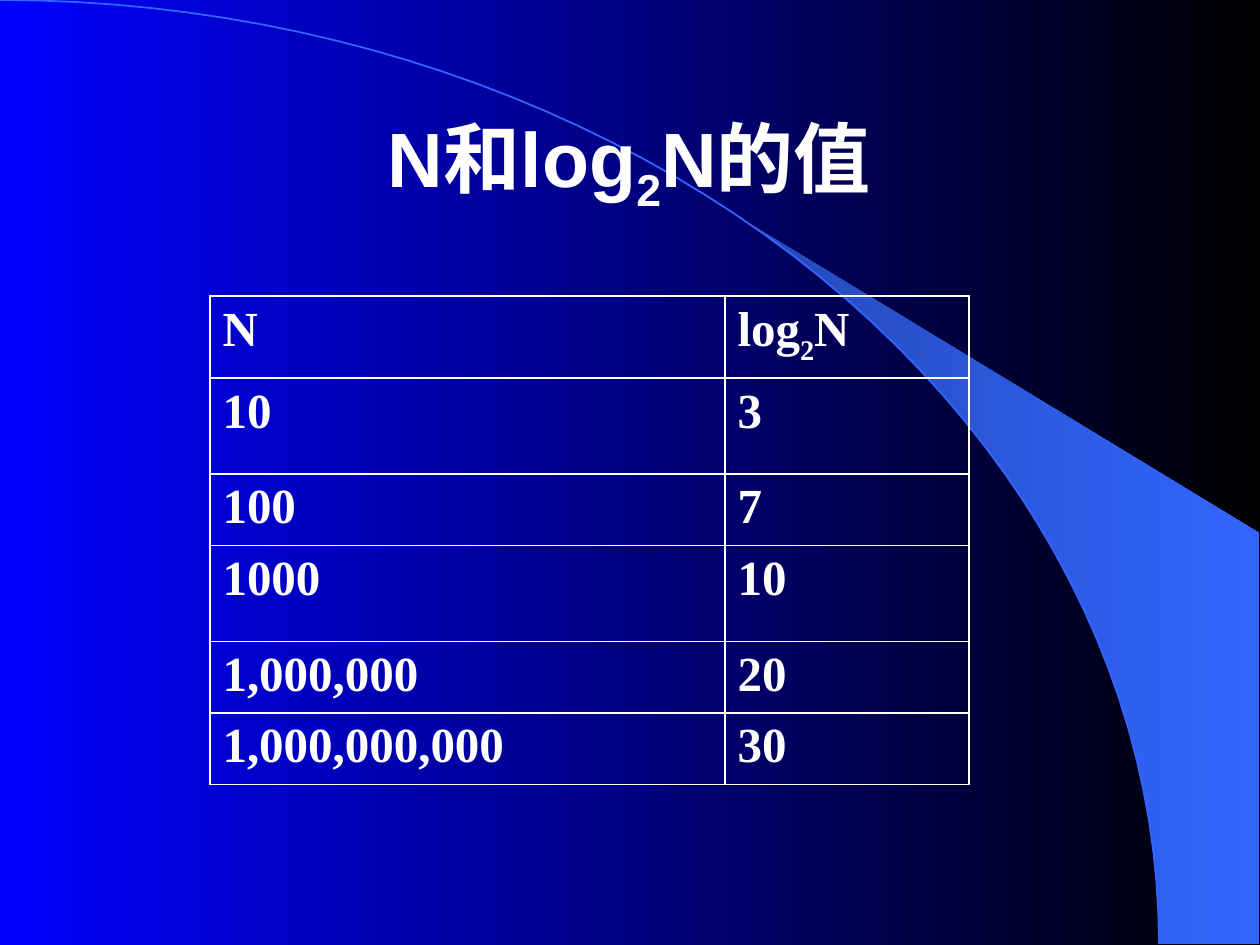
from math import asin, cos, pi, sin

from lxml import etree
from pptx import Presentation
from pptx.dml.color import RGBColor
from pptx.enum.text import MSO_ANCHOR, PP_ALIGN
from pptx.oxml.ns import qn
from pptx.util import Pt

MIDDLE = MSO_ANCHOR.MIDDLE
CENTER = PP_ALIGN.CENTER
SCALE = 914400 // 126
WHITE, BLUE = "FFFFFF", "3366FF"
ARC_W, ARC_H = 1159, 944
COLS = [515, 244]
ROWS = [59, 96, 59, 96, 59, 59]
VALUES = [("10", "3"), ("100", "7"), ("1000", "10"),
          ("1,000,000", "20"), ("1,000,000,000", "30")]


def px(n):
    return round(n * SCALE)


def rgb(code):
    return RGBColor.from_string(code)


def shade(fill, start, end):
    """Fill with a gradient that runs from left to right."""
    fill.gradient()
    fill.gradient_angle = 0
    for stop, code, pos in zip(fill.gradient_stops, (start, end), (0, 1)):
        stop.color.rgb = rgb(code)
        stop.position = pos


def arc(start=0, steps=48):
    """Points of the quarter ellipse from angle start to its lower end."""
    turns = [start + (pi / 2 - start) * i / steps for i in range(steps + 1)]
    return [(ARC_W * sin(t), ARC_H * (1 - cos(t))) for t in turns]


def outline(slide, points, close):
    spots = [(px(x), px(y)) for x, y in points]
    pen = slide.shapes.build_freeform(*spots[0])
    pen.add_line_segments(spots[1:], close=close)
    shape = pen.convert_to_shape()
    shape.shadow.inherit = False
    return shape


def add_wing(slide):
    edge = arc(asin(742 / ARC_W), 24)
    wing = outline(slide, edge + [(1259, 944), (1259, 533)], True)
    shade(wing.fill, "2449B6", BLUE)
    wing.line.fill.background()


def add_curve(slide):
    curve = outline(slide, arc(), False)
    curve.fill.background()
    curve.line.color.rgb = rgb(BLUE)
    curve.line.width = Pt(1)


def add_runs(para, parts, size, face, drop):
    """Write (text, is_subscript) parts, lowering subscripts by drop."""
    for text, low in parts:
        run = para.add_run()
        run.text = text
        font = run.font
        font.size, font.name, font.bold = Pt(size), face, True
        font.color.rgb = rgb(WHITE)
        if low:
            run._r.get_or_add_rPr().set("baseline", str(-drop * 1000))


def add_title(slide):
    box = slide.shapes.add_textbox(px(94), px(84), px(1071), px(158))
    frame = box.text_frame
    frame.word_wrap = True
    frame.vertical_anchor = MIDDLE
    para = frame.paragraphs[0]
    para.alignment = CENTER
    parts = [("N和log", False), ("2", True), ("N的值", False)]
    add_runs(para, parts, 44, "Arial", 25)


def add_border(cell):
    props = cell._tc.get_or_add_tcPr()
    for i, side in enumerate(("a:lnL", "a:lnR", "a:lnT", "a:lnB")):
        line = etree.Element(qn(side), w=str(Pt(1)))
        fill = etree.SubElement(line, qn("a:solidFill"))
        etree.SubElement(fill, qn("a:srgbClr"), val=WHITE)
        props.insert(i, line)


def add_grid(slide):
    frame = slide.shapes.add_table(len(ROWS), len(COLS), px(210), px(296),
                                   px(sum(COLS)), px(sum(ROWS)))
    table = frame.table
    table.first_row = table.horz_banding = False
    for col, width in zip(table.columns, COLS):
        col.width = px(width)
    for row, height in zip(table.rows, ROWS):
        row.height = px(height)
    head = [[("N", False)], [("log", False), ("2", True), ("N", False)]]
    body = [[[(text, False)] for text in pair] for pair in VALUES]
    for row, line in zip(table.rows, [head] + body):
        for cell, parts in zip(row.cells, line):
            cell.fill.background()
            add_border(cell)
            add_runs(cell.text_frame.paragraphs[0], parts, 28,
                     "Times New Roman", 30)


def main():
    deck = Presentation()
    deck.slide_width, deck.slide_height = px(1260), px(945)
    slide = deck.slides.add_slide(deck.slide_layouts[6])
    shade(slide.background.fill, "0000FF", "000000")
    add_wing(slide)
    add_curve(slide)
    add_title(slide)
    add_grid(slide)
    deck.save("out.pptx")


if __name__ == "__main__":
    main()
